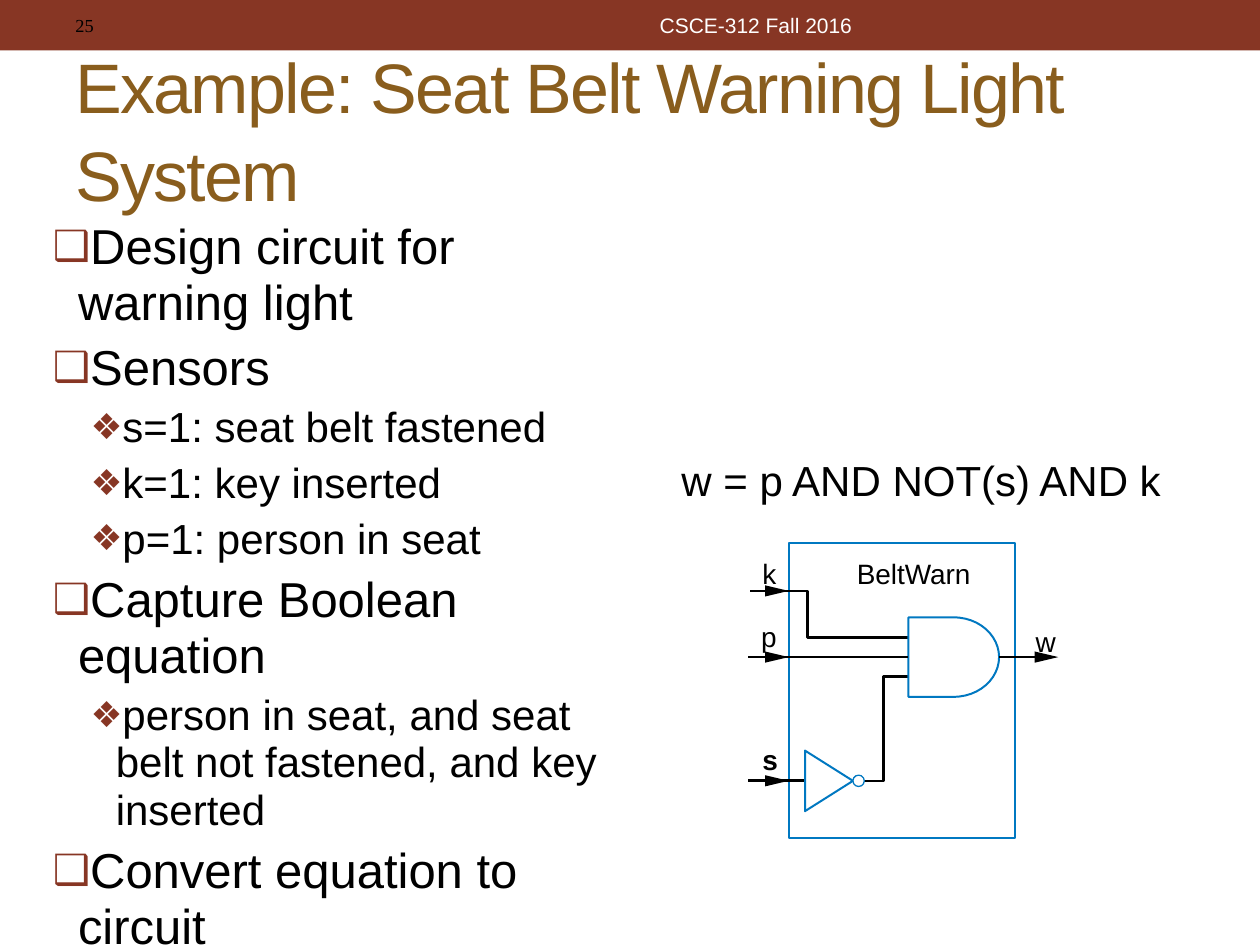
from dataclasses import dataclass

from lxml import etree
from pptx import Presentation, util as u
from pptx.dml.color import RGBColor
from pptx.enum import shapes, text
from pptx.oxml import ns


@dataclass(frozen=True)
class Theme:
    rust: str = "873624"
    gold: str = "895D1D"
    blue: str = "0078C1"
    black: str = "000000"
    white: str = "FFFFFF"
    sans: str = "Arial"
    serif: str = "Times New Roman"
    title: float = 40
    topic: float = 28
    detail: float = 24
    label: float = 16
    footer: float = 12
    number: float = 10.5
    outline: float = 1.13
    wire: float = 1.5


THEME = Theme()

OUTLINE = [
    (0, "Design circuit for warning light"),
    (0, "Sensors"),
    (1, "s=1: seat belt fastened"),
    (1, "k=1: key inserted"),
    (1, "p=1: person in seat"),
    (0, "Capture Boolean equation"),
    (1, "person in seat, and seat belt not fastened, and key inserted"),
    (0, "Convert equation to circuit"),
]


def rgb(value):
    return RGBColor.from_string(value)


def place(part, left, top, width, height):
    part.left, part.top = u.Pt(left), u.Pt(top)
    part.width, part.height = u.Pt(width), u.Pt(height)


def style(font, size, color=THEME.black, name=THEME.sans, bold=False):
    font.size, font.name, font.bold = u.Pt(size), name, bold
    font.color.rgb = rgb(color)


def add_text(slide, words, box, size, align=text.PP_ALIGN.LEFT,
             anchor=text.MSO_ANCHOR.TOP, tight=False, **font):
    frame = slide.shapes.add_textbox(*map(u.Pt, box)).text_frame
    frame.word_wrap = not tight
    frame.vertical_anchor = anchor
    if tight:
        frame.margin_left = frame.margin_right = 0
        frame.margin_top = frame.margin_bottom = 0
    line = frame.paragraphs[0]
    line.alignment = align
    run = line.add_run()
    run.text = words
    style(run.font, size, **font)


def paint(part, fill=None, line=None, width=THEME.outline):
    part.shadow.inherit = False
    if fill:
        part.fill.solid()
        part.fill.fore_color.rgb = rgb(fill)
    else:
        part.fill.background()
    if line:
        part.line.color.rgb = rgb(line)
        part.line.width = u.Pt(width)
    else:
        part.line.fill.background()


def add_preset(slide, kind, box, **colors):
    part = slide.shapes.add_shape(kind, *map(u.Pt, box))
    paint(part, **colors)
    return part


def add_path(slide, points, close=False, **colors):
    start, *rest = [(u.Pt(x), u.Pt(y)) for x, y in points]
    builder = slide.shapes.build_freeform(*start)
    builder.add_line_segments(rest, close=close)
    paint(builder.convert_to_shape(), **colors)


def add_wire(slide, left, right, y):
    wire = slide.shapes.add_connector(
        shapes.MSO_CONNECTOR.STRAIGHT, u.Pt(left), u.Pt(y), u.Pt(right), u.Pt(y))
    wire.line.color.rgb = rgb(THEME.black)
    wire.line.width = u.Pt(THEME.wire)
    etree.SubElement(wire._element.spPr, ns.qn("a:effectLst"))
    return wire


def add_arrowhead(slide, tip, y):
    back = tip - 13.5
    add_path(slide, [(tip, y), (back, y - 3.2), (back, y + 3.2)],
             close=True, fill=THEME.black)


def add_bullet(paragraph, level):
    props = paragraph._p.get_or_add_pPr()
    props.set("marL", str(u.Pt((14.4, 36)[level])))
    props.set("indent", str(-u.Pt(14.4)))
    color = etree.SubElement(props, ns.qn("a:buClr"))
    etree.SubElement(color, ns.qn("a:srgbClr"), val=THEME.rust)
    etree.SubElement(props, ns.qn("a:buSzPct"), val="85000")
    etree.SubElement(props, ns.qn("a:buChar"), char="❑❖"[level])


def fill_title(title):
    place(title, 36, 41.8, 684, 62.6)
    frame = title.text_frame
    frame.auto_size = text.MSO_AUTO_SIZE.NONE
    frame.vertical_anchor = text.MSO_ANCHOR.MIDDLE
    heading = frame.paragraphs[0]
    heading.alignment = text.PP_ALIGN.LEFT
    heading.line_spacing = 1.04
    run = heading.add_run()
    run.text = "Example: Seat Belt Warning Light System"
    style(run.font, THEME.title, THEME.gold)
    run._r.get_or_add_rPr().set("spc", "-100")


def fill_outline(body):
    place(body, 23, 122.5, 348.5, 412.5)
    frame = body.text_frame
    frame.auto_size = text.MSO_AUTO_SIZE.NONE
    for index, (level, words) in enumerate(OUTLINE):
        item = frame.add_paragraph() if index else frame.paragraphs[0]
        size = (THEME.topic, THEME.detail)[level]
        item.level = level
        add_bullet(item, level)
        item.line_spacing = 0.94
        item.space_before = u.Pt(size * 0.2 if index else 0)
        run = item.add_run()
        run.text = words
        style(run.font, size)


def draw_circuit(slide):
    kinds = shapes.MSO_SHAPE
    wire = dict(line=THEME.black, width=THEME.wire)
    symbol = dict(fill=THEME.white, line=THEME.blue)
    k_y, p_y, s_y = 337.7, 375.5, 446.2
    frame_left, gate_left = 450.7, 519.1

    add_preset(slide, kinds.RECTANGLE, (frame_left, 310.3, 129.6, 168.5), line=THEME.blue)
    add_path(slide, [(gate_left, 364.3), (461.5, 364.3), (461.5, k_y), (428.4, k_y)], **wire)
    add_path(slide, [(489.6, s_y), (504.7, s_y), (504.7, 386.6), (gate_left, 386.6)], **wire)
    add_wire(slide, 427.7, 459.7, s_y)
    add_path(slide, [(460, s_y + 17.3), (487.4, s_y), (460, s_y - 17.3)], close=True, **symbol)
    add_preset(slide, kinds.OVAL, (487.4, s_y - 3.25, 6.5, 6.5), width=0.75, **symbol)

    gate = add_preset(slide, kinds.FLOWCHART_DELAY, (gate_left, p_y - 22.7, 51.8, 45.4), **symbol)
    add_wire(slide, 427.7, gate_left, p_y).end_connect(gate, 1)
    add_wire(slide, 570.9, 593.3, p_y).begin_connect(gate, 3)

    for tip, y in [(frame_left, k_y), (frame_left, p_y), (frame_left, s_y), (604.8, p_y)]:
        add_arrowhead(slide, tip, y)
    for words, left, top, width, bold in [
        ("k", 435.6, 318.2, 8, False),
        ("p", 434.9, 354.2, 8.6, False),
        ("s", 435.6, 424.1, 8.6, True),
        ("w", 591.8, 357.1, 11.5, False),
        ("BeltWarn", 489.6, 318.2, 65.5, False),
    ]:
        add_text(slide, words, (left, top, width, 19.4), THEME.label, tight=True, bold=bold)


def main():
    deck = Presentation()
    deck.slide_width, deck.slide_height = u.Pt(720), u.Pt(540)
    slide = deck.slides.add_slide(deck.slide_layouts[1])
    middle = text.MSO_ANCHOR.MIDDLE

    add_preset(slide, shapes.MSO_SHAPE.RECTANGLE, (0, 0, 720, 28.8), fill=THEME.rust)
    add_text(slide, "25", (36, 1.4, 228, 26), THEME.number, anchor=middle, name=THEME.serif)
    fill_title(slide.shapes.title)
    fill_outline(slide.placeholders[1])
    add_text(slide, "w = p AND NOT(s) AND k", (382.3, 256.3, 319.7, 36), THEME.detail)
    draw_circuit(slide)
    add_text(slide, "CSCE-312 Fall 2016", (270, 1.4, 324, 26), THEME.footer,
             align=text.PP_ALIGN.CENTER, anchor=middle, color=THEME.white)
    deck.save("out.pptx")


if __name__ == "__main__":
    main()
